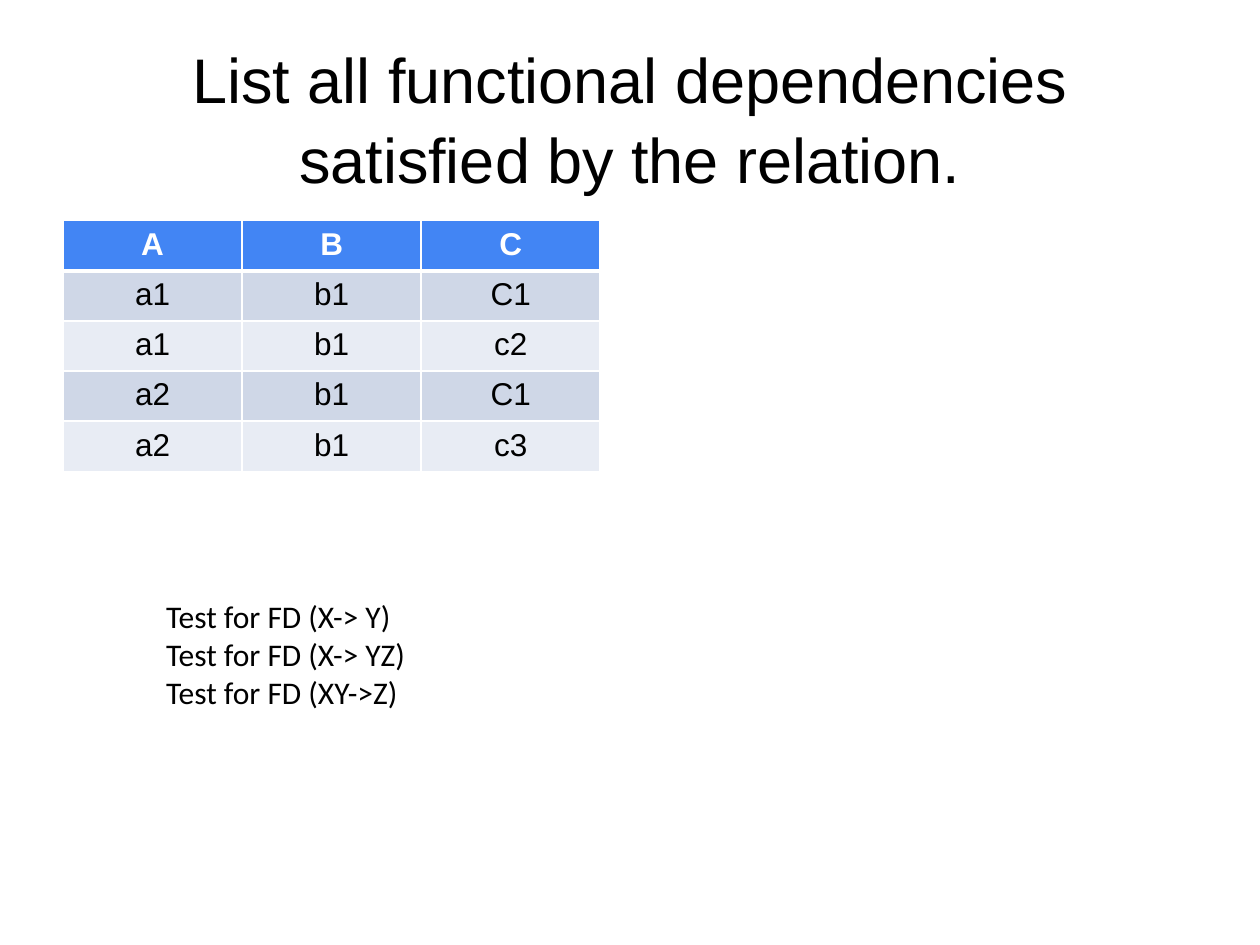
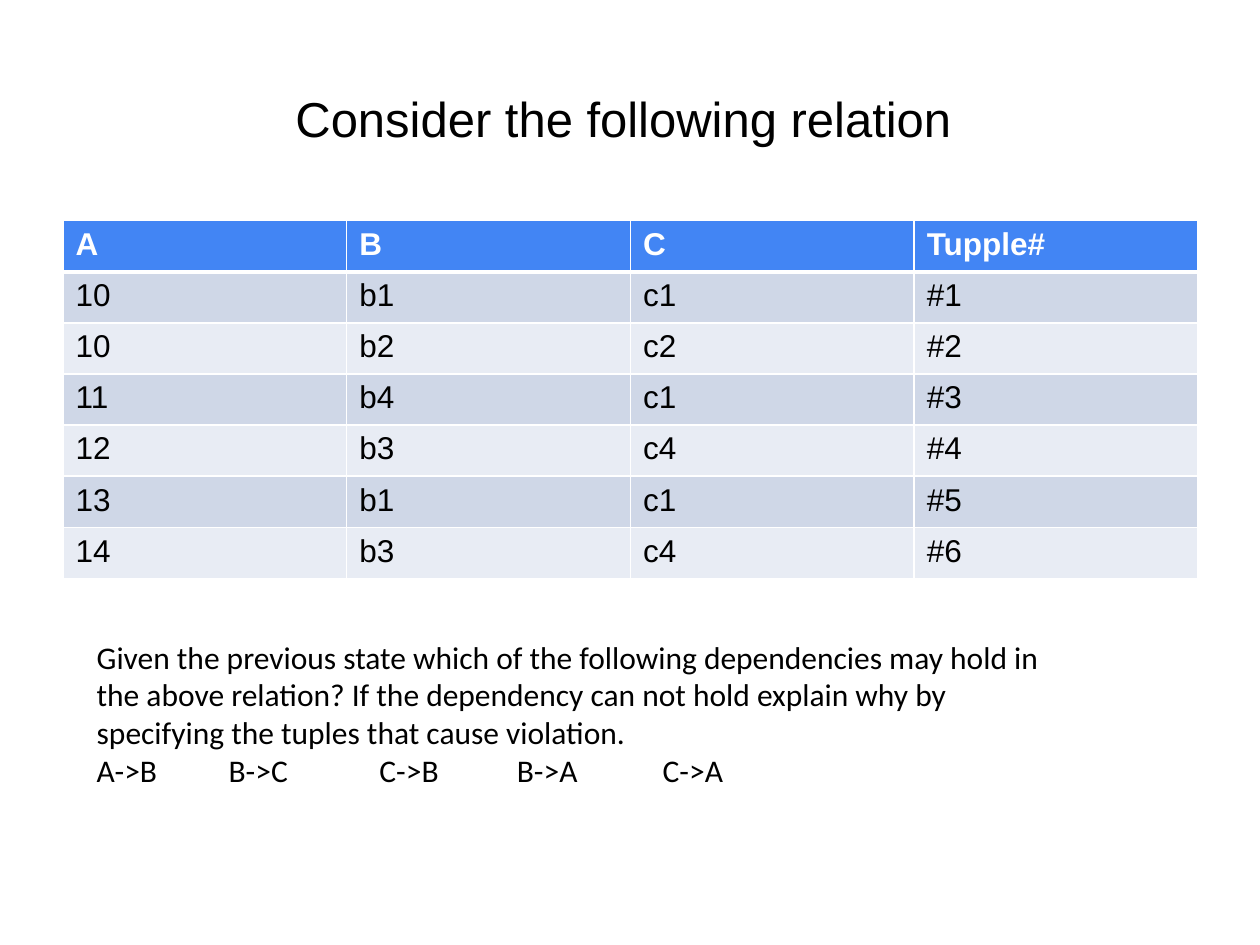
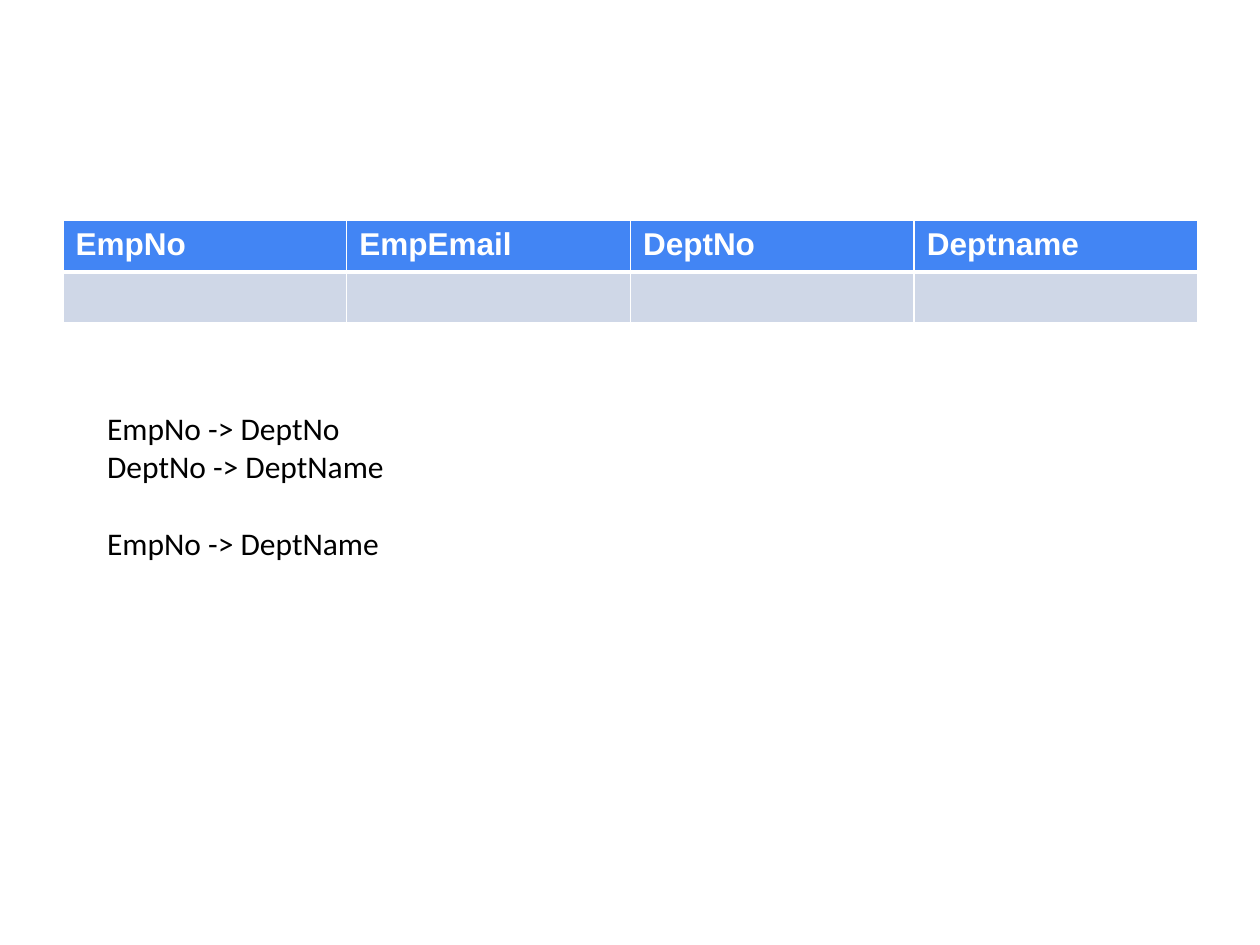
from lxml.etree import SubElement
from pptx import Presentation
from pptx.dml.color import RGBColor
from pptx.enum.text import MSO_ANCHOR as Anchor, MSO_AUTO_SIZE as AutoSize, PP_ALIGN as Align
from pptx.oxml.ns import qn
from pptx.util import Cm, Pt

INK, WHITE, HEADER = "000000", "FFFFFF", "4285F4"
BANDS = ("CFD7E7", "E8ECF4")
HEADING_FONT, BODY_FONT = "Arial", "Calibri"
TITLE_BOX = (1.27, 0.76, 22.86, 3.18)
TABLE_LEFT, TABLE_TOP = 1.27, 4.45
TITLE_ONLY, BLANK = 5, 6


def color(value):
    """Turn a hex string into a colour."""
    return RGBColor.from_string(value)


def write(paragraph, text, size=18, font=BODY_FONT, ink=INK, bold=False,
          align=Align.LEFT, spacing=None, before=None, tabs=()):
    """Write formatted text into a paragraph."""
    paragraph.alignment = align
    if spacing:
        paragraph.line_spacing = spacing
    if before is not None:
        paragraph.space_before = Pt(before)
    if tabs:
        stops = SubElement(paragraph._p.get_or_add_pPr(), qn("a:tabLst"))
        for stop in tabs:
            SubElement(stops, qn("a:tab"), pos=str(Cm(stop)), algn="l")
    run = paragraph.add_run()
    run.text = text
    run.font.size, run.font.name, run.font.bold = Pt(size), font, bold
    run.font.color.rgb = color(ink)


def place_title(slide, text, size):
    """Move and format the title placeholder."""
    title = slide.shapes.title
    title.left, title.top, title.width, title.height = map(Cm, TITLE_BOX)
    frame = title.text_frame
    frame.word_wrap, frame.vertical_anchor = True, Anchor.MIDDLE
    frame.auto_size = AutoSize.NONE
    write(frame.paragraphs[0], text, size=size, font=HEADING_FONT,
          align=Align.CENTER, spacing=1.05)


def draw_borders(cell, top, bottom):
    """Give a cell white borders of the given widths in points."""
    properties = cell._tc.get_or_add_tcPr()
    for side, width in (("L", 1), ("R", 1), ("T", top), ("B", bottom)):
        line = SubElement(properties, qn(f"a:ln{side}"), w=str(Pt(width)))
        fill = SubElement(line, qn("a:solidFill"))
        SubElement(fill, qn("a:srgbClr"), val=WHITE)


def place_relation(slide, rows, column_width, row_height, align=Align.LEFT):
    """Draw a relation as a table with a header and banded rows."""
    columns = len(rows[0])
    relation = slide.shapes.add_table(
        len(rows), columns, Cm(TABLE_LEFT), Cm(TABLE_TOP),
        Cm(column_width * columns), Cm(row_height * len(rows))).table
    for column in relation.columns:
        column.width = Cm(column_width)
    for index, values in enumerate(rows):
        is_header = index == 0
        relation.rows[index].height = Cm(row_height)
        for cell, value in zip(relation.rows[index].cells, values):
            draw_borders(cell, top=3 if index == 1 else 1, bottom=3 if is_header else 1)
            cell.fill.solid()
            cell.fill.fore_color.rgb = color(HEADER if is_header else BANDS[(index - 1) % 2])
            if value:
                write(cell.text_frame.paragraphs[0], value, font=HEADING_FONT,
                      ink=WHITE if is_header else INK, bold=is_header, align=align)


def place_notes(slide, box, lines):
    """Write lines, each a text with its format, into a text box."""
    frame = slide.shapes.add_textbox(*map(Cm, box)).text_frame
    frame.word_wrap, frame.auto_size = True, AutoSize.SHAPE_TO_FIT_TEXT
    for index, (text, style) in enumerate(lines):
        paragraph = frame.add_paragraph() if index else frame.paragraphs[0]
        write(paragraph, text, **style)


def build_satisfied_dependencies(slide):
    """Build the slide that asks for all dependencies."""
    place_title(slide, "List all functional dependencies satisfied by the relation.", 36)
    rows = ["A B C", "a1 b1 C1", "a1 b1 c2", "a2 b1 C1", "a2 b1 c3"]
    place_relation(slide, [row.split() for row in rows], 3.61, 1.01, Align.CENTER)
    tests = ("X-> Y", "X-> YZ", "XY->Z")
    place_notes(slide, (3.1, 11.91, 14, 2.57),
                [(f"Test for FD ({test})", {}) for test in tests])


def build_possible_dependencies(slide):
    """Build the slide that asks which dependencies may hold."""
    place_title(slide, "Consider the following relation ", 28)
    tuples = ["10 b1 c1", "10 b2 c2", "11 b4 c1", "12 b3 c4", "13 b1 c1", "14 b3 c4"]
    rows = [["A", "B", "C", "Tupple#"]]
    rows += [[*values.split(), f"#{number}"] for number, values in enumerate(tuples, 1)]
    place_relation(slide, rows, 5.72, 1.03)
    question = ("Given the previous state which of the following dependencies may hold in "
                "the above relation? If the dependency can not hold explain why by "
                "specifying the tuples that cause violation.")
    candidates = "\t".join(["A->B", "B->C", "C->B", "B->A", "C->A"])
    place_notes(slide, (1.7, 12.73, 20, 3.33),
                [(question, {}), (candidates, {"tabs": (2.66, 5.7, 8.47, 11.41)})])


def build_transitive_dependency(slide):
    """Build the slide with the employee relation."""
    place_relation(slide, [["EmpNo", "EmpEmail", "DeptNo", "Deptname"], [""] * 4], 5.72, 1.03)
    place_notes(slide, (1.91, 8.13, 21, 4.88),
                [("EmpNo -> DeptNo", {}), ("DeptNo -> DeptName", {}),
                 ("EmpNo -> DeptName", {"before": 22})])


def main():
    """Build and save the presentation."""
    deck = Presentation()
    deck.slide_width, deck.slide_height = Cm(25.4), Cm(19.05)
    for build, layout in ((build_satisfied_dependencies, TITLE_ONLY),
                          (build_possible_dependencies, TITLE_ONLY),
                          (build_transitive_dependency, BLANK)):
        build(deck.slides.add_slide(deck.slide_layouts[layout]))
    deck.save("out.pptx")


if __name__ == "__main__":
    main()
